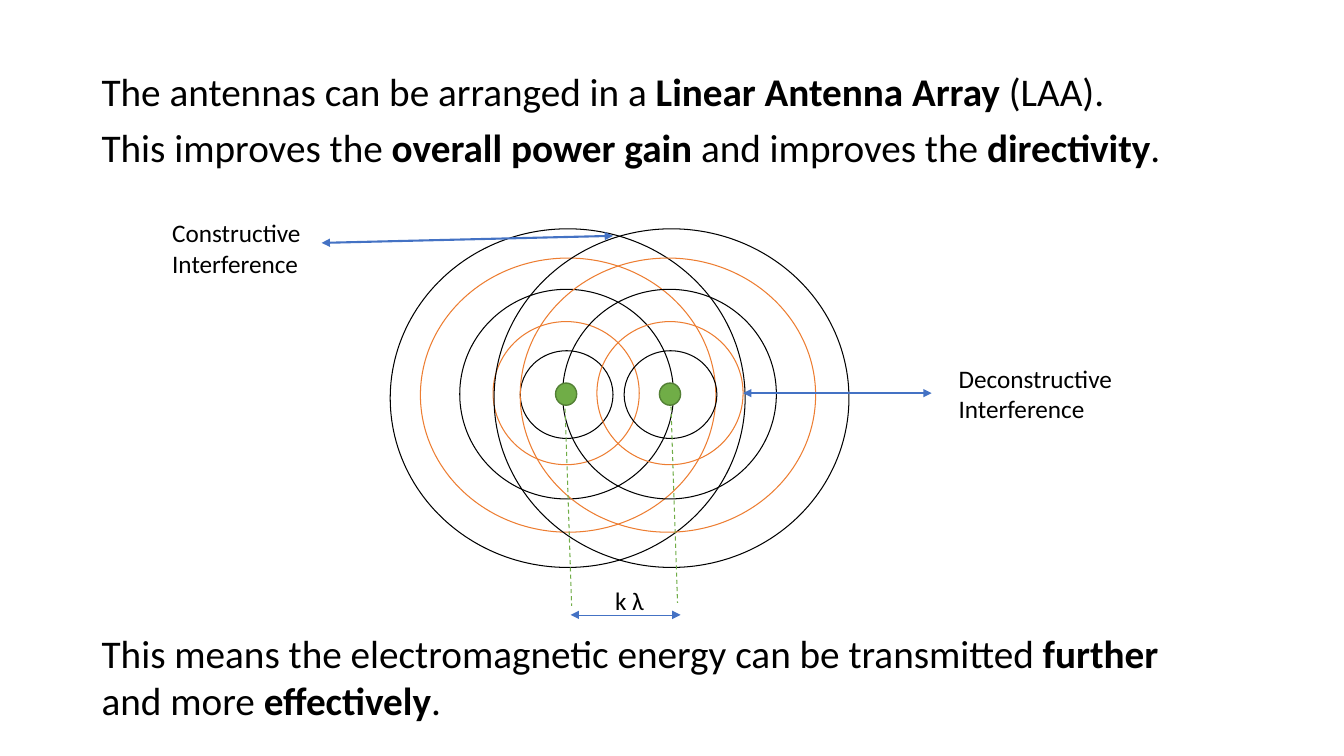
from lxml.etree import SubElement
from pptx import Presentation
from pptx.dml.color import RGBColor
from pptx.enum.dml import MSO_LINE
from pptx.enum.shapes import MSO_CONNECTOR, MSO_SHAPE
from pptx.enum.text import MSO_AUTO_SIZE
from pptx.oxml.ns import qn
from pptx.util import Inches, Pt

THEME = {
    "font": "Calibri",
    "body_size": Pt(28),
    "label_size": Pt(18),
    "text": RGBColor(0x00, 0x00, 0x00),
    "crest": RGBColor(0x00, 0x00, 0x00),
    "trough": RGBColor(0xED, 0x7D, 0x31),
    "antenna": RGBColor(0x70, 0xAD, 0x47),
    "antenna_edge": RGBColor(0x53, 0x80, 0x35),
    "arrow": RGBColor(0x44, 0x72, 0xC4),
}

presentation = Presentation()
presentation.slide_width = Inches(13.33)
presentation.slide_height = Inches(7.5)
slide = presentation.slides.add_slide(presentation.slide_layouts[6])


def add_text(box, paragraphs, size):
    """Add a text box; each paragraph is a list of (text, bold) runs."""
    shape = slide.shapes.add_textbox(*[Inches(length) for length in box])
    frame = shape.text_frame
    frame.word_wrap = True
    for index, runs in enumerate(paragraphs):
        paragraph = frame.paragraphs[0] if index == 0 else frame.add_paragraph()
        for text, bold in runs:
            run = paragraph.add_run()
            run.text = text
            run.font.name = THEME["font"]
            run.font.size = size
            run.font.bold = bold
            run.font.color.rgb = THEME["text"]
    return frame


def add_ellipse(box, line_color, line_width, fill_color=None):
    shape = slide.shapes.add_shape(MSO_SHAPE.OVAL, *[Inches(length) for length in box])
    shape.shadow.inherit = False
    shape.line.color.rgb = line_color
    shape.line.width = Pt(line_width)
    if fill_color is None:
        shape.fill.background()
    else:
        shape.fill.solid()
        shape.fill.fore_color.rgb = fill_color


# Opening statements
introduction = add_text((0.91, 0.67, 11.5, 4.76), [
    [("The antennas can be arranged in a ", False),
     ("Linear Antenna Array ", True), ("(LAA).", False)],
    [("This improves the ", False), ("overall power gain ", True),
     ("and improves the ", False), ("directivity", True), (".", False)],
], THEME["body_size"])
for paragraph in introduction.paragraphs:
    paragraph.line_spacing = 0.9
    paragraph.space_before = Pt(10)

# Conclusion
add_text((0.91, 6.19, 10.91, 1.04), [
    [("This means the electromagnetic energy can be transmitted ", False),
     ("further ", True), ("and more ", False), ("effectively", True), (".", False)],
], THEME["body_size"])

# Wave fronts: left edge at each antenna, then top, width, height, colour
wave_fronts = [
    ((5.16, 6.19), 3.48, 0.92, 0.87, "crest"),
    ((4.89, 5.92), 3.19, 1.45, 1.42, "trough"),
    ((4.56, 5.58), 2.87, 2.12, 2.08, "crest"),
    ((4.17, 5.16), 2.56, 2.93, 2.72, "trough"),
    ((3.87, 4.9), 2.27, 3.52, 3.36, "crest"),
]
for antenna in range(2):
    for lefts, top, width, height, color in wave_fronts:
        add_ellipse((lefts[antenna], top, width, height), THEME[color], 0.75)

# Arrows and dashed spacing guides
connectors = [
    ((7.37, 3.9), (9.24, 3.9), "arrow", 1.5),
    ((6.08, 2.34), (3.19, 2.41), "arrow", 1.5),
    ((5.66, 6.1), (6.75, 6.1), "arrow", 0.5),
    ((5.6, 3.91), (5.67, 6.01), "antenna", 0.75),
    ((6.65, 3.89), (6.72, 5.98), "antenna", 0.75),
]
for start, end, color, width in connectors:
    connector = slide.shapes.add_connector(
        MSO_CONNECTOR.STRAIGHT, *[Inches(length) for length in start + end])
    connector.line.color.rgb = THEME[color]
    connector.line.width = Pt(width)
    if color == "arrow":
        outline = connector.line._get_or_add_ln()
        for arrowhead in ("a:headEnd", "a:tailEnd"):
            SubElement(outline, qn(arrowhead), type="triangle")
    else:
        connector.line.dash_style = MSO_LINE.DASH
    SubElement(connector._element.spPr, qn("a:effectLst"))

# Antennas
for left in (5.51, 6.54):
    add_ellipse((left, 3.8, 0.21, 0.22), THEME["antenna_edge"], 1, THEME["antenna"])

# Diagram labels
add_text((9.41, 3.55, 2.74, 0.71), [[("Deconstructive Interference", False)]],
         THEME["label_size"])
add_text((1.61, 2.11, 2.34, 0.71), [[("Constructive Interference", False)]],
         THEME["label_size"])
spacing_label = add_text((6.1, 5.81, 0.29, 0.3), [[("k λ", False)]],
                         THEME["label_size"])
spacing_label.word_wrap = False
spacing_label.auto_size = MSO_AUTO_SIZE.SHAPE_TO_FIT_TEXT
spacing_label.margin_left = spacing_label.margin_right = 0
spacing_label.margin_top = spacing_label.margin_bottom = 0

presentation.save("out.pptx")
